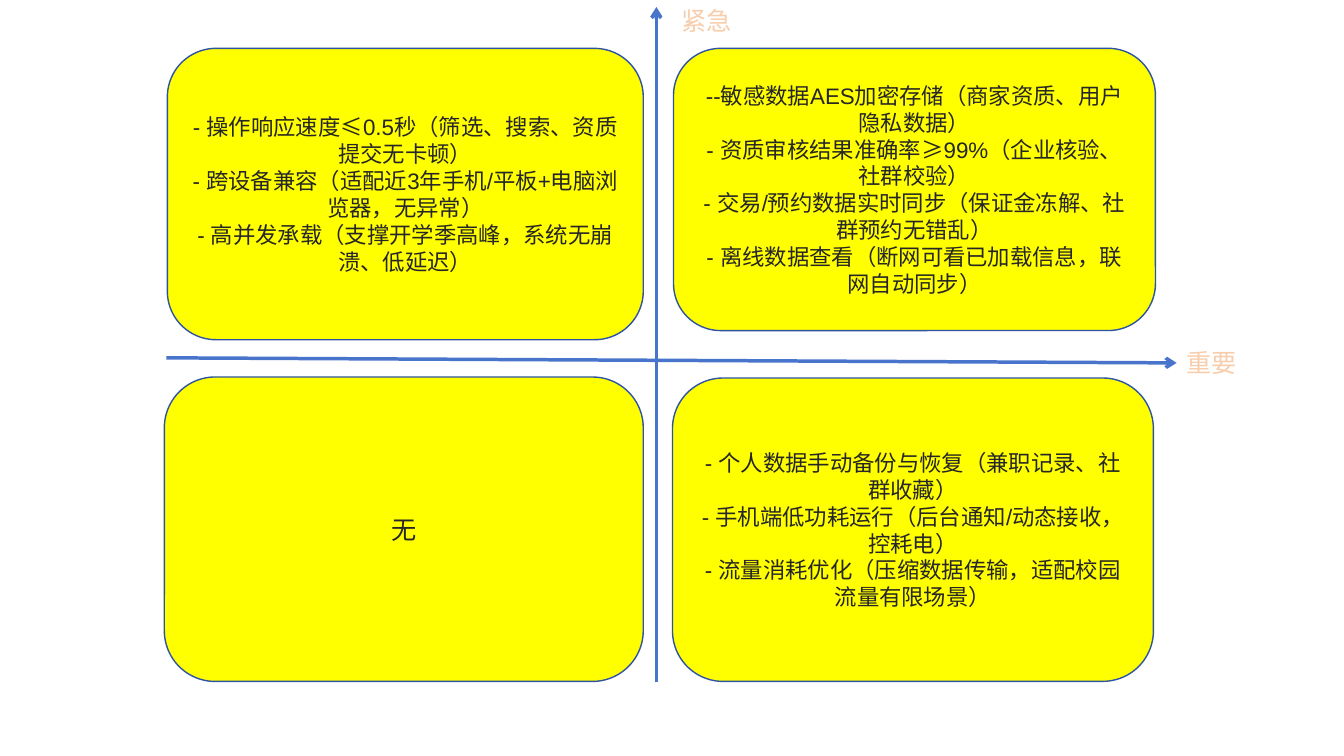
"""Build an urgency and importance matrix of non-functional requirements."""
from dataclasses import dataclass

import lxml.etree
import pptx
import pptx.dml.color
import pptx.enum.shapes
import pptx.enum.text
import pptx.oxml.ns
import pptx.util

Inches = pptx.util.Inches
Pt = pptx.util.Pt
qn = pptx.oxml.ns.qn


@dataclass(frozen=True)
class Theme:
    """Colours, font and type sizes of the matrix."""
    font: str = "Arial"
    axis: str = "4874CB"
    axis_label: str = "F8CDAC"
    label_outline: str = "EE822F"
    quadrant: str = "FFFF00"
    border: str = "2E54A1"
    text: str = "262626"
    large: int = 18
    small: int = 16


THEME = Theme()

AXES = [
    ((1.65, 3.55), (11.67, 3.6)),
    ((6.51, 6.77), (6.51, 0.07)),
]

AXIS_LABELS = [
    ("重要", (11.67, 3.4, 1.66, 0.4)),
    ("紧急", (6.66, 0, 4.64, 0.4)),
]

QUADRANTS = [
    ((6.68, 0.48, 4.78, 2.8), THEME.small, [
        "--敏感数据AES加密存储（商家资质、用户隐私数据）",
        "- 资质审核结果准确率≥99%（企业核验、社群校验）",
        "- 交易/预约数据实时同步（保证金冻解、社群预约无错乱）",
        "- 离线数据查看（断网可看已加载信息，联网自动同步）",
    ]),
    ((1.66, 0.48, 4.72, 2.89), THEME.small, [
        "- 操作响应速度≤0.5秒（筛选、搜索、资质提交无卡顿）",
        "- 跨设备兼容（适配近3年手机/平板+电脑浏览器，无异常）",
        "- 高并发承载（支撑开学季高峰，系统无崩溃、低延迟）",
    ]),
    ((1.63, 3.74, 4.75, 3.02), THEME.large, ["无"]),
    ((6.67, 3.75, 4.77, 3.01), THEME.small, [
        "- 个人数据手动备份与恢复（兼职记录、社群收藏）",
        "- 手机端低功耗运行（后台通知/动态接收，控耗电）",
        "- 流量消耗优化（压缩数据传输，适配校园流量有限场景）",
    ]),
]


def rgb(value):
    """Turn a hex string into a colour."""
    return pptx.dml.color.RGBColor.from_string(value)


def apply_format(target, values):
    """Set each attribute named in a dict of format values."""
    for name, value in values.items():
        setattr(target, name, value)


def write_lines(frame, lines, size, color, alignment):
    """Write one paragraph per line and return the runs."""
    runs = []
    for index, line in enumerate(lines):
        paragraph = frame.paragraphs[0] if index == 0 else frame.add_paragraph()
        paragraph.alignment = alignment
        run = paragraph.add_run()
        run.text = line
        apply_format(run.font, {"name": THEME.font, "size": Pt(size)})
        run.font.color.rgb = rgb(color)
        runs.append(run)
    return runs


def outline_text(run, color, width):
    """Give the letters of a run a coloured outline."""
    outline = lxml.etree.Element(qn("a:ln"), w=str(Pt(width)))
    fill = lxml.etree.SubElement(outline, qn("a:solidFill"))
    lxml.etree.SubElement(fill, qn("a:srgbClr"), val=color)
    run.font._element.insert(0, outline)


def add_axis(slide, start, end):
    """Draw an axis with an open arrowhead at its end."""
    axis = slide.shapes.add_connector(
        pptx.enum.shapes.MSO_CONNECTOR.STRAIGHT,
        *(Inches(length) for length in start + end))
    axis.line.color.rgb = rgb(THEME.axis)
    axis.line.width = Pt(2.5)
    lxml.etree.SubElement(axis.line._get_or_add_ln(), qn("a:tailEnd"), type="arrow")
    lxml.etree.SubElement(axis._element.spPr, qn("a:effectLst"))


def add_axis_label(slide, label, box):
    """Name an axis beside its arrowhead."""
    name = slide.shapes.add_textbox(*(Inches(length) for length in box))
    apply_format(name.text_frame, {
        "word_wrap": True,
        "auto_size": pptx.enum.text.MSO_AUTO_SIZE.SHAPE_TO_FIT_TEXT,
    })
    runs = write_lines(name.text_frame, [label], THEME.large, THEME.axis_label,
                       pptx.enum.text.PP_ALIGN.LEFT)
    outline_text(runs[0], THEME.label_outline, 1.75)


def add_quadrant(slide, box, size, requirements):
    """Add a rounded quadrant listing its requirements."""
    quadrant = slide.shapes.add_shape(
        pptx.enum.shapes.MSO_SHAPE.ROUNDED_RECTANGLE,
        *(Inches(length) for length in box))
    quadrant.shadow.inherit = False
    quadrant.fill.solid()
    quadrant.fill.fore_color.rgb = rgb(THEME.quadrant)
    quadrant.line.color.rgb = rgb(THEME.border)
    quadrant.line.width = Pt(1)
    apply_format(quadrant.text_frame, {
        "word_wrap": True,
        "vertical_anchor": pptx.enum.text.MSO_ANCHOR.MIDDLE,
    })
    write_lines(quadrant.text_frame, requirements, size, THEME.text,
                pptx.enum.text.PP_ALIGN.CENTER)


def main():
    """Build the matrix slide and save it."""
    deck = pptx.Presentation()
    apply_format(deck, {"slide_width": Inches(13.33), "slide_height": Inches(7.5)})
    matrix = deck.slides.add_slide(deck.slide_layouts[6])
    for start, end in AXES:
        add_axis(matrix, start, end)
    for label, box in AXIS_LABELS:
        add_axis_label(matrix, label, box)
    for box, size, requirements in QUADRANTS:
        add_quadrant(matrix, box, size, requirements)
    deck.save("out.pptx")


if __name__ == "__main__":
    main()
